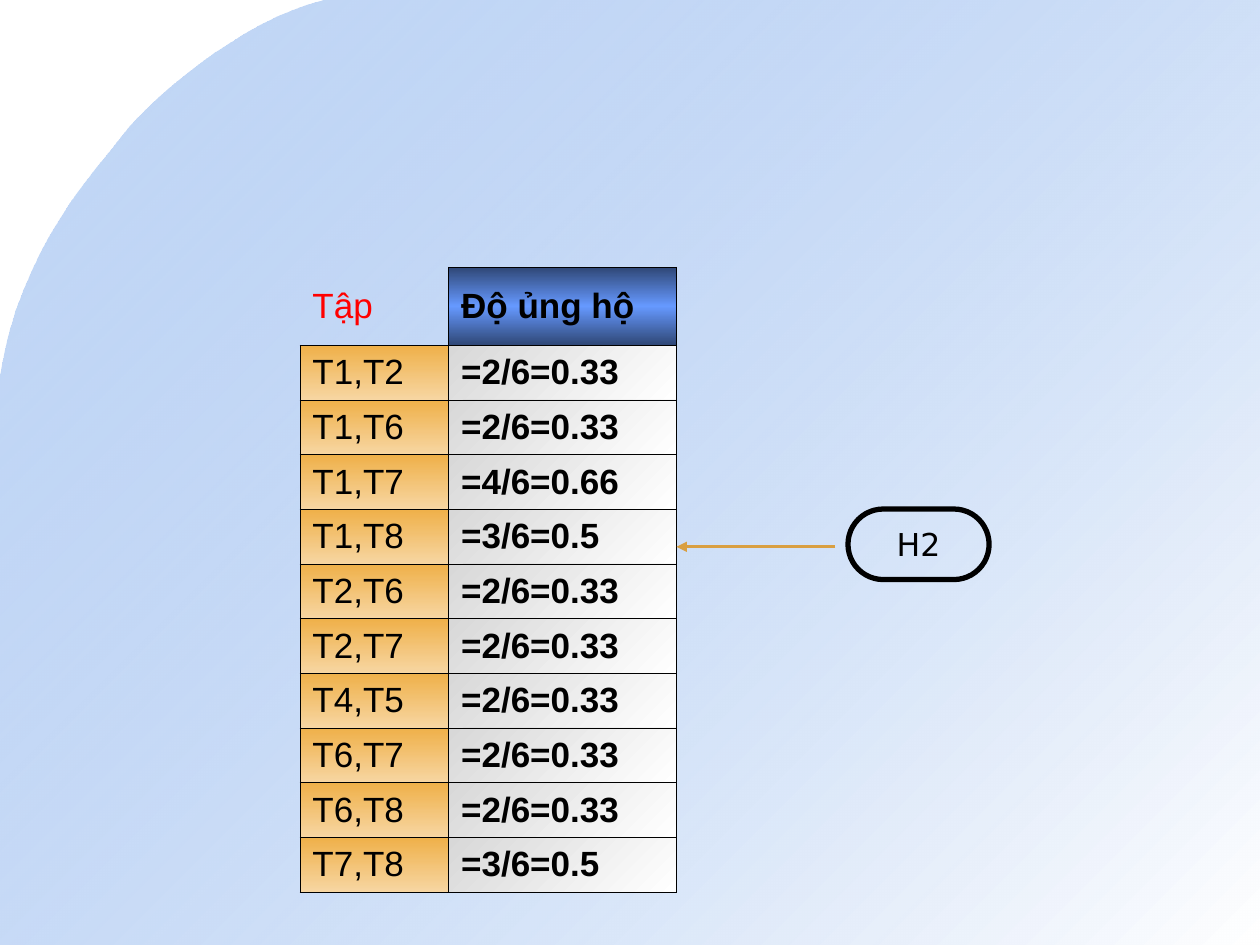
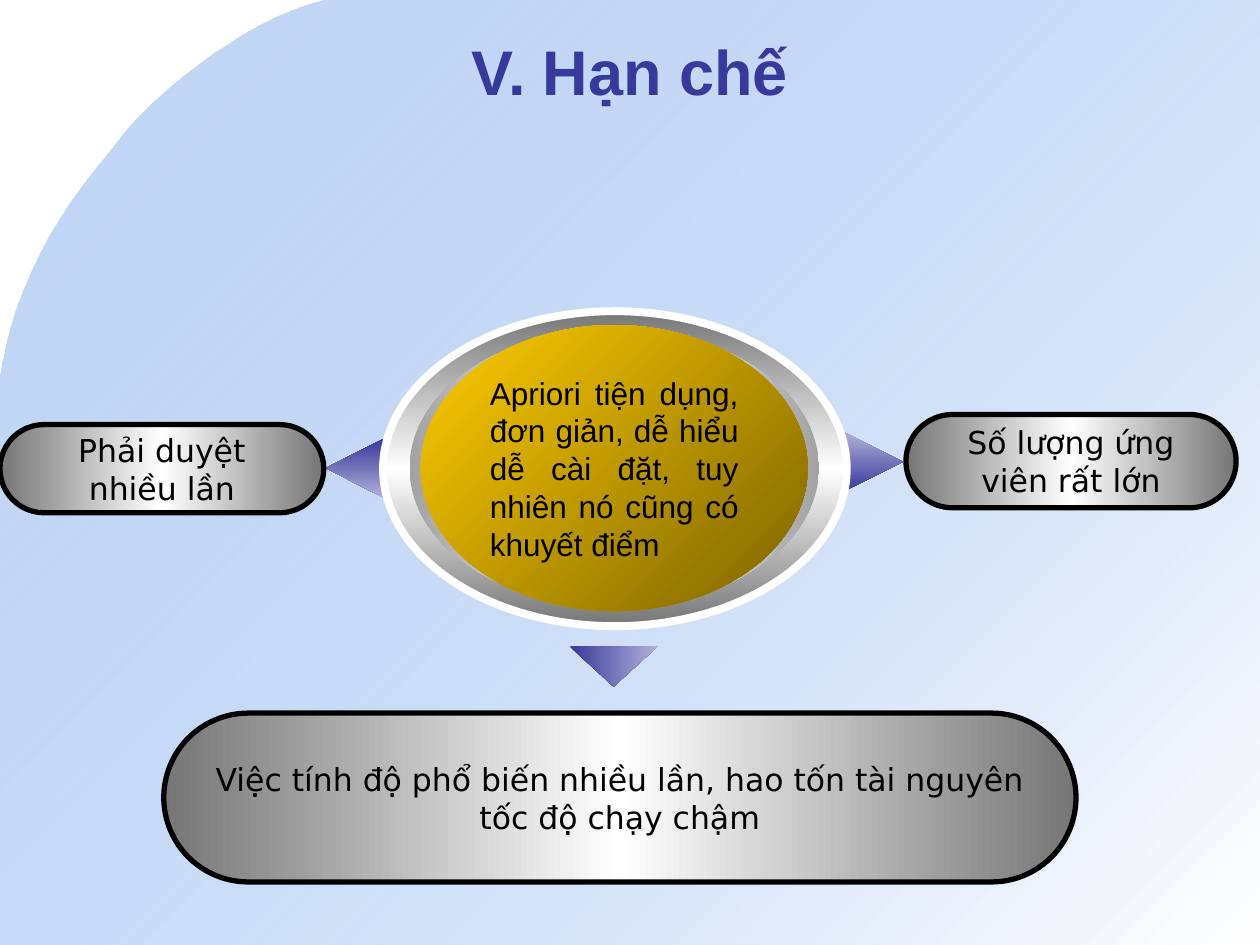
from dataclasses import dataclass
from typing import Optional

from lxml import etree
from pptx import Presentation
from pptx.dml.color import RGBColor
from pptx.enum.shapes import MSO_CONNECTOR, MSO_SHAPE as Preset
from pptx.enum.text import MSO_ANCHOR as Anchor, PP_ALIGN as Align
from pptx.oxml.ns import qn
from pptx.util import Inches, Pt

BLACK, WHITE, RED = "000000", "FFFFFF", "FF0000"
NAVY, LAVENDER, AMBER = "37399B", "B1B1D8", "D99F41"
BODY_FONT, LABEL_FONT = "Arial", "DejaVu Sans"


@dataclass(frozen=True)
class Gradient:
    colors: tuple[str, ...]
    angle: int = 0
    first_alpha: int = 100


@dataclass(frozen=True)
class Box:
    left: float
    top: float
    width: float
    height: float

    def emu(self):
        return [Inches(n) for n in (self.left, self.top, self.width, self.height)]


@dataclass(frozen=True)
class TextStyle:
    size: int
    font: str = BODY_FONT
    color: str = BLACK
    bold: bool = False
    align: Align = Align.CENTER


@dataclass(frozen=True)
class Oval:
    box: Box
    gradient: Gradient
    outline: Optional[str] = None
    text: str = ""


@dataclass(frozen=True)
class Pill:
    box: Box
    text: str
    gradient: Optional[Gradient] = None


@dataclass(frozen=True)
class Pointer:
    box: Box
    rotation: int


BACKDROP = Gradient(("699DE9", WHITE), 45, first_alpha=39)
STEEL = Gradient(("767676", WHITE, "767676"))
HEADER_FILL = Gradient(("2F4776", "6699FF", "2F4776"), 90)
SET_FILL = Gradient(("EFB049", "F7D6A2"), 90)
SUPPORT_FILL = Gradient(("D8D8D8", WHITE), 45)
POINTER_FILL = Gradient((NAVY, LAVENDER))

TITLE = TextStyle(36, color=NAVY, bold=True)
LABEL = TextStyle(18, LABEL_FONT)
CENTER_TEXT = TextStyle(18, align=Align.JUSTIFY)

# Slide content
SUPPORT = [
    ("T1,T2", "=2/6=0.33"), ("T1,T6", "=2/6=0.33"), ("T1,T7", "=4/6=0.66"),
    ("T1,T8", "=3/6=0.5"), ("T2,T6", "=2/6=0.33"), ("T2,T7", "=2/6=0.33"),
    ("T4,T5", "=2/6=0.33"), ("T6,T7", "=2/6=0.33"), ("T6,T8", "=2/6=0.33"),
    ("T7,T8", "=3/6=0.5"),
]
STEP_PILL = Pill(Box(6.73, 4.04, 1.12, 0.56), "H2")
POINTERS = [
    Pointer(Box(2.58, 3.48, 0.48, 0.47), 270),
    Pointer(Box(6.7, 3.43, 0.47, 0.47), 90),
    Pointer(Box(4.52, 5.13, 0.7, 0.32), 180),
]
OVALS = [
    Oval(Box(3.04, 2.47, 3.68, 2.5), Gradient(STEEL.colors, 90), WHITE),
    Oval(Box(3.25, 2.61, 3.25, 2.21), Gradient(("A2A2A2", WHITE, "A2A2A2"))),
    Oval(Box(3.34, 2.58, 3.07, 2.27), Gradient(("FFCC00", "7C6300"), 45),
         text="Apriori tiện dụng, đơn giản, dễ hiểu dễ cài đặt, "
              "tuy nhiên nó cũng có khuyết điểm"),
]
LIMIT_PILLS = [
    Pill(Box(1.3, 5.66, 7.24, 1.34),
         "Việc tính độ phổ biến nhiều lần, hao tốn tài nguyên\ntốc độ chạy chậm", STEEL),
    Pill(Box(0, 3.37, 2.57, 0.7), "Phải duyệt\nnhiều lần", STEEL),
    Pill(Box(7.19, 3.29, 2.62, 0.74), "Số lượng ứng\nviên rất lớn", STEEL),
]


# Formatting helpers
def rgb(color: str) -> RGBColor:
    return RGBColor.from_string(color)


def add_element(parent, tag: str, **attributes):
    values = {name: str(value) for name, value in attributes.items()}
    return etree.SubElement(parent, qn(tag), values)


def fill_gradient(fill, properties, gradient: Gradient) -> None:
    """Put a linear gradient in the place of the fill of a shape or cell."""
    fill.background()
    empty_fill = properties.find(qn("a:noFill"))
    element = etree.Element(qn("a:gradFill"), rotWithShape="1")
    stops = add_element(element, "a:gsLst")
    for index, color in enumerate(gradient.colors):
        position = 100000 * index // (len(gradient.colors) - 1)
        stop = add_element(stops, "a:gs", pos=position)
        stop_color = add_element(stop, "a:srgbClr", val=color)
        if index == 0 and gradient.first_alpha < 100:
            add_element(stop_color, "a:alpha", val=gradient.first_alpha * 1000)
    add_element(element, "a:lin", ang=gradient.angle * 60000, scaled=0)
    properties.replace(empty_fill, element)


def write(text_frame, text: str, style: TextStyle) -> None:
    text_frame.text = text
    for paragraph in text_frame.paragraphs:
        paragraph.alignment = style.align
        for run in paragraph.runs:
            run.font.size = Pt(style.size)
            run.font.name = style.font
            run.font.bold = style.bold
            run.font.color.rgb = rgb(style.color)


def style_shape(shape, gradient: Optional[Gradient], outline: Optional[str] = None,
                weight: float = 3) -> None:
    shape.shadow.inherit = False
    if gradient:
        fill_gradient(shape.fill, shape._element.spPr, gradient)
    else:
        shape.fill.background()
    if outline:
        shape.line.color.rgb = rgb(outline)
        shape.line.width = Pt(weight)
    else:
        shape.line.fill.background()


# Shared parts
def curve(start, first, second, end, steps: int = 16) -> list[tuple[float, float]]:
    """Points along a cubic curve, without its start."""
    points = []
    for step in range(1, steps + 1):
        t = step / steps
        weights = ((1 - t) ** 3, 3 * t * (1 - t) ** 2, 3 * t * t * (1 - t), t ** 3)
        points.append(tuple(
            sum(weight * point[axis] for weight, point in zip(weights, (start, first, second, end)))
            for axis in (0, 1)))
    return points


def add_backdrop(slide) -> None:
    start, shoulder, side = (2.58, 0), (0.98, 1.07), (0, 3.01)
    outline = curve(start, (1.9, 0.16), (1.16, 0.83), shoulder)
    outline += curve(shoulder, (0.8, 1.32), (0.16, 1.94), side)
    outline += [(0, 7.5), (10, 7.5), (10, 0)]
    builder = slide.shapes.build_freeform(Inches(start[0]), Inches(start[1]))
    builder.add_line_segments([(Inches(x), Inches(y)) for x, y in outline], close=True)
    style_shape(builder.convert_to_shape(), BACKDROP)


def add_title(slide, text: str) -> None:
    text_box = slide.shapes.add_textbox(*Box(0.5, 0.25, 9, 0.62).emu())
    text_box.text_frame.word_wrap = True
    text_box.text_frame.vertical_anchor = Anchor.MIDDLE
    write(text_box.text_frame, text, TITLE)


def add_pill(slide, pill: Pill) -> None:
    shape = slide.shapes.add_shape(Preset.ROUNDED_RECTANGLE, *pill.box.emu())
    shape.adjustments[0] = 0.5
    style_shape(shape, pill.gradient, BLACK)
    shape.text_frame.word_wrap = False
    shape.text_frame.vertical_anchor = Anchor.MIDDLE
    write(shape.text_frame, pill.text, LABEL)


def add_oval(slide, oval: Oval) -> None:
    shape = slide.shapes.add_shape(Preset.OVAL, *oval.box.emu())
    style_shape(shape, oval.gradient, oval.outline, 4.5)
    if oval.text:
        shape.text_frame.word_wrap = True
        shape.text_frame.vertical_anchor = Anchor.MIDDLE
        write(shape.text_frame, oval.text, CENTER_TEXT)


def add_pointer(slide, pointer: Pointer) -> None:
    shape = slide.shapes.add_shape(Preset.UP_ARROW, *pointer.box.emu())
    shape.adjustments[0], shape.adjustments[1] = 0.517, 1
    shape.rotation = pointer.rotation
    shape._element.spPr.find(qn("a:xfrm")).set("flipH", "1")
    style_shape(shape, POINTER_FILL)


def add_arrow(slide, start: tuple[float, float], end: tuple[float, float]) -> None:
    ends = [Inches(n) for n in (*start, *end)]
    arrow = slide.shapes.add_connector(MSO_CONNECTOR.STRAIGHT, *ends)
    arrow.line.color.rgb = rgb(AMBER)
    arrow.line.width = Pt(1.5)
    add_element(arrow.line._get_or_add_ln(), "a:tailEnd", type="triangle")
    add_element(arrow._element.spPr, "a:effectLst")


# Support table
def set_borders(cell, sides: str) -> None:
    properties = cell._tc.get_or_add_tcPr()
    for index, side in enumerate("LRTB"):
        line = etree.Element(qn(f"a:ln{side}"), w=str(Pt(0.45)))
        if side in sides:
            add_element(add_element(line, "a:solidFill"), "a:srgbClr", val=BLACK)
        else:
            add_element(line, "a:noFill")
        properties.insert(index, line)


def style_cell(cell, text: str, gradient: Optional[Gradient], color: str, bold: bool) -> None:
    cell.vertical_anchor = Anchor.MIDDLE
    write(cell.text_frame, text, TextStyle(20, color=color, bold=bold, align=Align.JUSTIFY))
    if gradient:
        fill_gradient(cell.fill, cell._tc.get_or_add_tcPr(), gradient)
    else:
        cell.fill.background()
    set_borders(cell, "LRTB" if gradient else "RB")


def add_support_table(slide) -> None:
    box = Box(2.38, 2.12, 2.99, 4.96)
    header_height = 0.62
    row_height = (box.height - header_height) / len(SUPPORT)
    table = slide.shapes.add_table(len(SUPPORT) + 1, 2, *box.emu()).table
    table.first_row = table.horz_banding = False
    for column, width in zip(table.columns, (1.18, 1.81)):
        column.width = Inches(width)
    for index, row in enumerate(table.rows):
        row.height = Inches(row_height if index else header_height)
    style_cell(table.cell(0, 0), "Tập", None, RED, False)
    style_cell(table.cell(0, 1), "Độ ủng hộ", HEADER_FILL, BLACK, True)
    for index, (item_set, support) in enumerate(SUPPORT, start=1):
        style_cell(table.cell(index, 0), item_set, SET_FILL, BLACK, False)
        style_cell(table.cell(index, 1), support, SUPPORT_FILL, BLACK, True)


# Slides
def build_support_slide(slide) -> None:
    add_backdrop(slide)
    add_support_table(slide)
    add_pill(slide, STEP_PILL)
    add_arrow(slide, (6.63, 4.34), (5.37, 4.34))


def build_limits_slide(slide) -> None:
    add_backdrop(slide)
    add_title(slide, "V. Hạn chế")
    for pointer in POINTERS:
        add_pointer(slide, pointer)
    for oval in OVALS:
        add_oval(slide, oval)
    for pill in LIMIT_PILLS:
        add_pill(slide, pill)


def main() -> None:
    presentation = Presentation()
    presentation.slide_width, presentation.slide_height = Inches(10), Inches(7.5)
    blank_layout = presentation.slide_layouts[6]
    for build in (build_support_slide, build_limits_slide):
        build(presentation.slides.add_slide(blank_layout))
    presentation.save("out.pptx")


if __name__ == "__main__":
    main()
